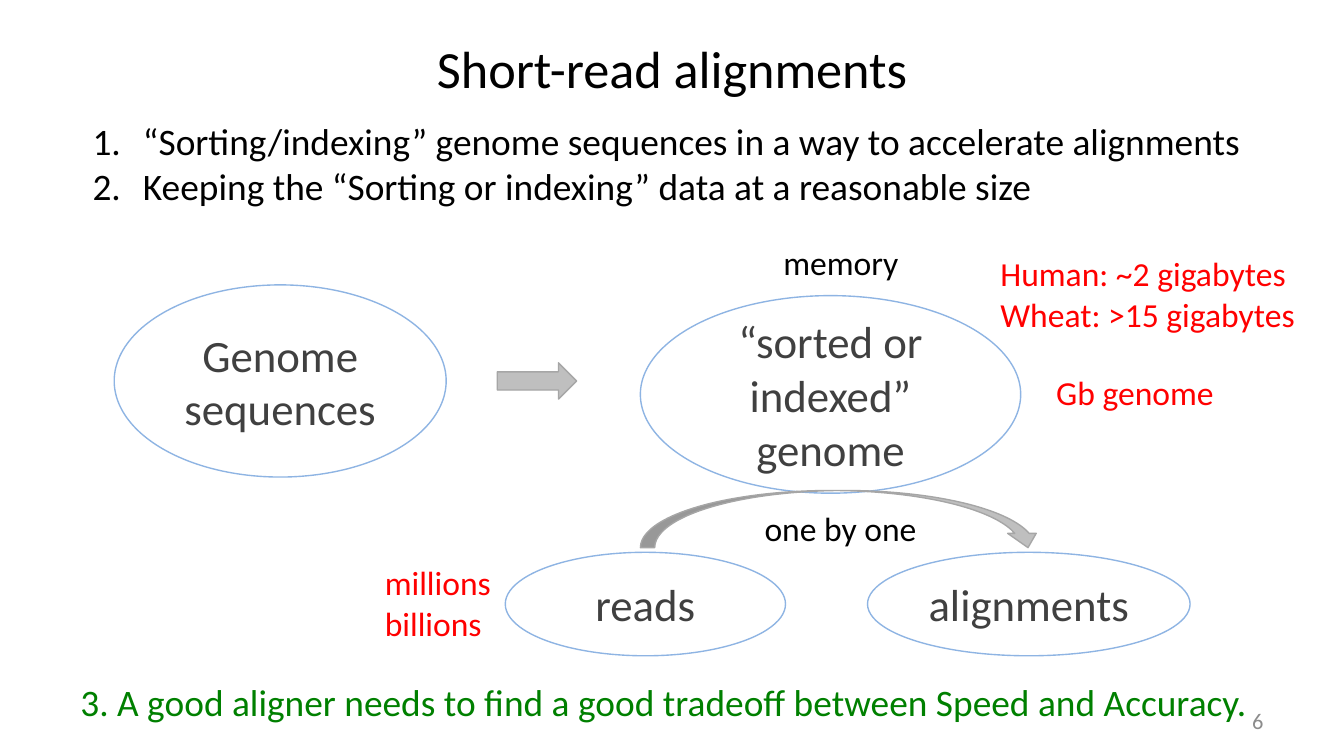
from lxml import etree
from pptx import Presentation
from pptx import util as u
from pptx.dml.color import RGBColor
from pptx.enum import shapes, text
from pptx.oxml.ns import qn

BLACK = RGBColor(0x00, 0x00, 0x00)
DARK = RGBColor(0x40, 0x40, 0x40)
GRAY = RGBColor(0x8C, 0x8C, 0x8C)
SILVER = RGBColor(0xBF, 0xBF, 0xBF)
EDGE = RGBColor(0xA6, 0xA6, 0xA6)
BLUE = RGBColor(0x8E, 0xB4, 0xE3)
RED = RGBColor(0xFF, 0x00, 0x00)
GREEN = RGBColor(0x00, 0x80, 0x00)

CELL = 0.1  # inches; the slide is a 16:9 grid of 100 columns by 56.25 rows
Shape = shapes.MSO_SHAPE
Align = text.PP_ALIGN
Anchor = text.MSO_ANCHOR


def cells(*counts):
    return [u.Inches(count * CELL) for count in counts]


def number(para, indent):
    """Turn a paragraph into an item of a numbered list."""
    properties = para._p.get_or_add_pPr()
    properties.set("marL", str(indent))
    properties.set("indent", str(-indent))
    etree.SubElement(properties, qn("a:buFont"), typeface="+mj-lt")
    etree.SubElement(properties, qn("a:buAutoNum"), type="arabicPeriod")


def write(shape, lines, *, size=18, color=BLACK, align=Align.LEFT,
          anchor=Anchor.TOP, wrap=True, numbered=False):
    frame = shape.text_frame
    frame.word_wrap = wrap
    frame.vertical_anchor = anchor
    for index, line in enumerate(lines):
        para = frame.add_paragraph() if index else frame.paragraphs[0]
        if numbered:
            number(para, cells(3.75)[0])
        para.alignment = align
        span = para.add_run()
        span.text = line
        span.font.name = "Calibri"
        span.font.size = u.Pt(size)
        span.font.color.rgb = color


class Slide:
    def __init__(self, deck):
        self.page = deck.slides.add_slide(deck.slide_layouts[6])

    def label(self, place, *lines, **style):
        box = self.page.shapes.add_textbox(*cells(*place))
        write(box, lines, **style)

    def outline(self, kind, place, edge):
        shape = self.page.shapes.add_shape(kind, *cells(*place))
        shape.shadow.inherit = False
        shape.fill.background()
        shape.line.color.rgb = edge
        shape.line.width = u.Pt(0.75)
        return shape

    def ellipse(self, place, caption):
        shape = self.outline(Shape.OVAL, place, BLUE)
        write(shape, [caption], size=24, color=DARK,
              align=Align.CENTER, anchor=Anchor.MIDDLE)

    def arrow(self, kind, place):
        shape = self.outline(kind, place, EDGE)
        shape.fill.solid()
        shape.fill.fore_color.rgb = SILVER


def main():
    deck = Presentation()
    deck.slide_width, deck.slide_height = cells(100, 56.25)
    slide = Slide(deck)

    # Title and numbered goals
    slide.label((5, 0.8, 90, 8.5), "Short-read alignments", size=28,
                align=Align.CENTER, anchor=Anchor.MIDDLE)
    slide.label(
        (5.9, 8.3, 92.2, 7.7),
        "“Sorting/indexing” genome sequences in a way to accelerate alignments",
        "Keeping the “Sorting or indexing” data at a reasonable size",
        size=20, numbered=True)

    # Flow from genome to index, and from reads to alignments
    slide.ellipse((8.5, 21.2, 24.7, 14.3), "Genome sequences")
    slide.ellipse((47.65, 22, 28.3, 14.7), "“sorted or indexed” genome")
    slide.ellipse((37.6, 41.1, 20.85, 7.7), "reads")
    slide.arrow(Shape.CURVED_DOWN_ARROW, (47.65, 36.5, 29.9, 4.25))
    slide.ellipse((64.55, 41.1, 24, 7.7), "alignments")
    slide.arrow(Shape.RIGHT_ARROW, (37, 27, 5.9, 2.7))

    # Labels of the steps
    slide.label((55.9, 37.3, 13.5, 4), "one by one", wrap=False)
    slide.label((57.3, 17.5, 10.7, 4), "memory", wrap=False)

    # Data sizes
    slide.label((73.45, 18.35, 25.1, 7.1), "Human: ~2 gigabytes",
                "Wheat: >15 gigabytes", color=RED)
    slide.label((27.65, 41.35, 10, 7.1), "millions", "billions",
                color=RED, wrap=False)
    slide.label((77.6, 27.2, 13.9, 4), "Gb genome", color=RED, wrap=False)

    # Conclusion and page number
    slide.label(
        (5, 50.05, 90.4, 4.4),
        "3. A good aligner needs to find a good tradeoff between Speed and Accuracy.",
        size=20, color=GREEN)
    slide.label((71.7, 52.15, 23.3, 3), "6", size=12, color=GRAY,
                align=Align.RIGHT, anchor=Anchor.MIDDLE)

    deck.save("out.pptx")


if __name__ == "__main__":
    main()
